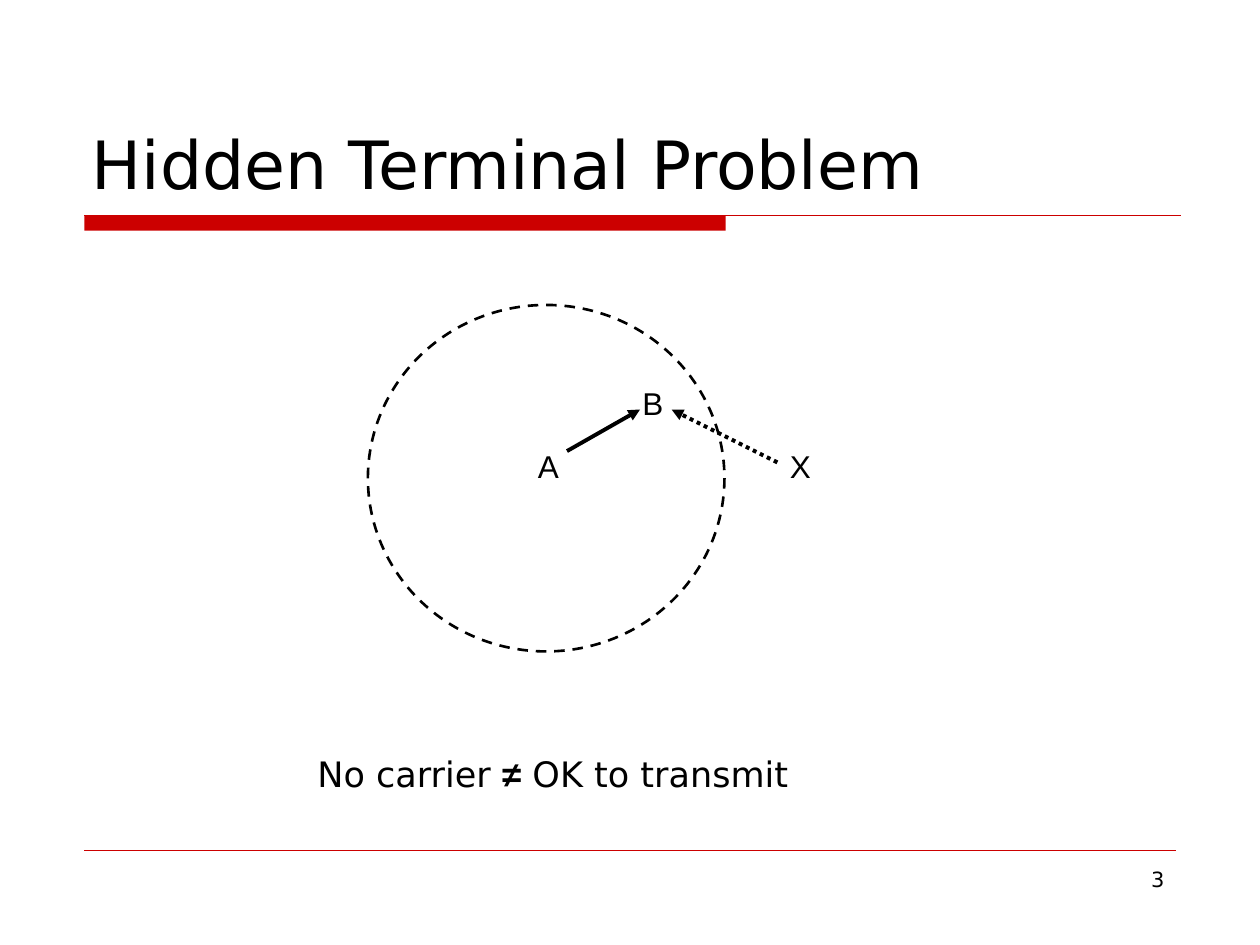
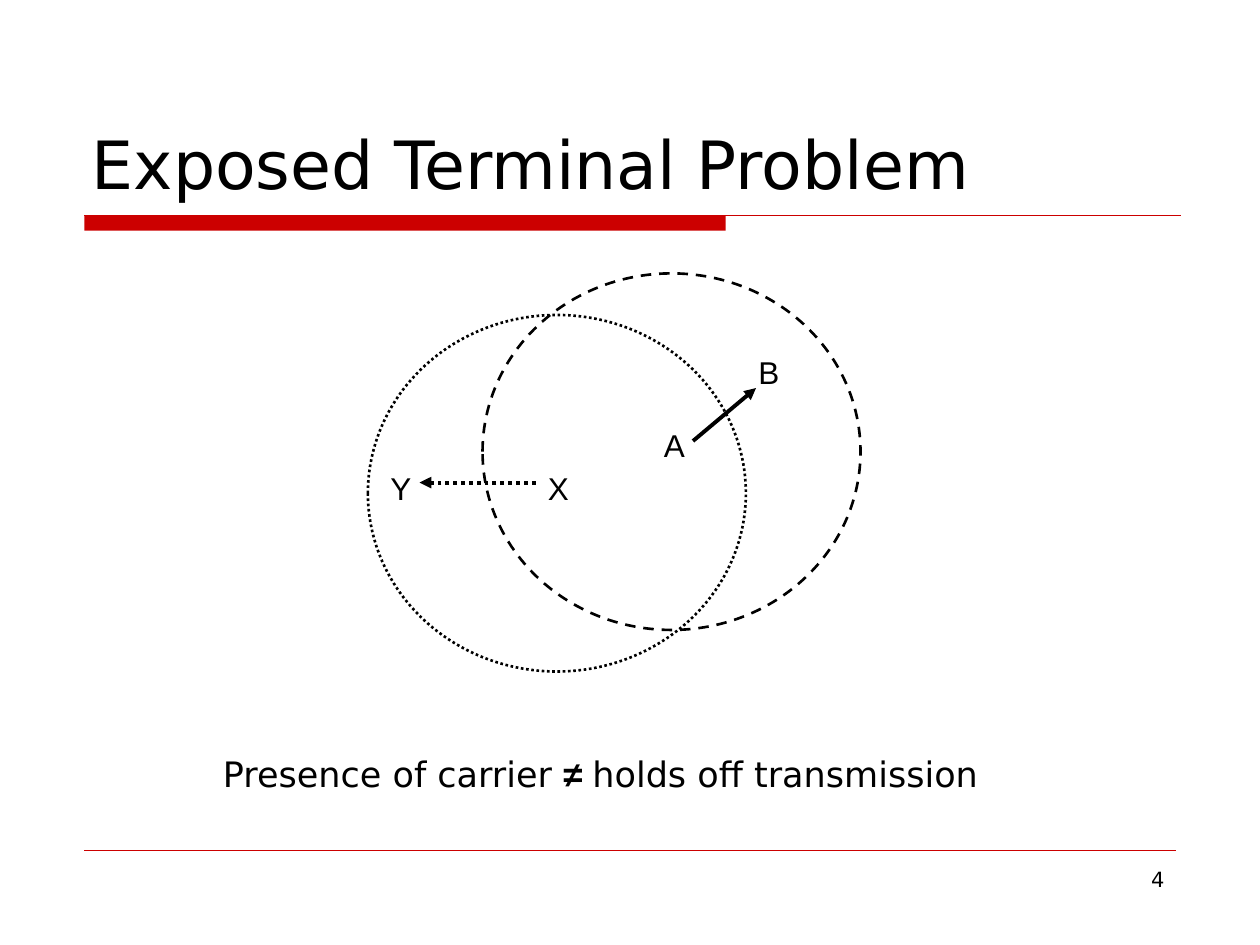
"""Build two slides on the hidden and exposed terminal problems."""
from dataclasses import dataclass

from lxml import etree
from pptx import Presentation
from pptx.dml.color import RGBColor
from pptx.enum.dml import MSO_LINE
from pptx.enum.shapes import MSO_CONNECTOR, MSO_SHAPE
from pptx.enum.text import MSO_ANCHOR, PP_ALIGN
from pptx.oxml.ns import qn
from pptx.util import Inches, Pt

STRAIGHT = MSO_CONNECTOR.STRAIGHT
OVAL, RECTANGLE = MSO_SHAPE.OVAL, MSO_SHAPE.RECTANGLE
SOLID, DASH, DOT = MSO_LINE.SOLID, MSO_LINE.DASH, MSO_LINE.ROUND_DOT
TOP, BOTTOM = MSO_ANCHOR.TOP, MSO_ANCHOR.BOTTOM
LEFT, RIGHT = PP_ALIGN.LEFT, PP_ALIGN.RIGHT


@dataclass(frozen=True)
class Theme:
    ink: RGBColor = RGBColor(0, 0, 0)
    accent: RGBColor = RGBColor(0xCC, 0, 0)
    range_width: float = 1.5
    signal_width: float = 2.24
    bar_width: float = 0.74
    footer_width: float = 0.26


THEME = Theme()
FORMATS = {
    "title": {"name": "DejaVu Sans", "size": Pt(38)},
    "node": {"name": "Arial", "size": Pt(18)},
    "claim": {"name": "DejaVu Sans", "size": Pt(20)},
    "sign": {"name": "Arial", "size": Pt(20), "bold": True},
    "number": {"name": "DejaVu Sans", "size": Pt(12)},
}

SLIDES = [
    {
        "title": "Hidden Terminal Problem",
        "number": "3",
        "ranges": [((2.92, 2.42, 2.83, 2.75), DASH)],
        "nodes": {"A": (4.17, 3.5), "B": (5, 3), "X": (6.17, 3.5)},
        "signals": [
            ((4.5, 3.58), (5.08, 3.25), SOLID),
            ((6.17, 3.67), (5.33, 3.25), DOT),
        ],
        "claim_box": (2.42, 5.92, 4.58, 0.44),
        "claim": [("No carrier ", "claim"), ("≠", "sign"), (" OK to transmit", "claim")],
    },
    {
        "title": "Exposed Terminal Problem",
        "number": "4",
        "ranges": [((3.83, 2.17, 3, 2.83), DASH), ((2.92, 2.5, 3, 2.83), DOT)],
        "nodes": {"A": (5.17, 3.33), "B": (5.92, 2.75), "X": (4.25, 3.67), "Y": (3, 3.67)},
        "signals": [
            ((5.5, 3.5), (6, 3.08), SOLID),
            ((4.25, 3.83), (3.33, 3.83), DOT),
        ],
        "claim_box": (1.67, 5.92, 6.42, 0.44),
        "claim": [
            ("Presence of carrier ", "claim"),
            ("≠ ", "sign"),
            ("holds off transmission", "claim"),
        ],
    },
]


def add_text(slide, box, parts, align=LEFT, anchor=TOP):
    frame = slide.shapes.add_textbox(*map(Inches, box)).text_frame
    frame.word_wrap = True
    frame.vertical_anchor = anchor
    paragraph = frame.paragraphs[0]
    paragraph.alignment = align
    for words, style in parts:
        run = paragraph.add_run()
        run.text = words
        run.font.color.rgb = THEME.ink
        for attribute, value in FORMATS[style].items():
            setattr(run.font, attribute, value)


def add_line(slide, start, end, color, width, dash=SOLID, arrow=False):
    connector = slide.shapes.add_connector(STRAIGHT, *map(Inches, start + end))
    connector.line.color.rgb = color
    connector.line.width = Pt(width)
    connector.line.dash_style = dash
    properties = connector._element.spPr
    if arrow:
        etree.SubElement(properties.find(qn("a:ln")), qn("a:tailEnd"), type="triangle")
    etree.SubElement(properties, qn("a:effectLst"))


deck = Presentation()
deck.slide_width, deck.slide_height = Inches(10), Inches(7.5)
blank = deck.slide_layouts[6]

for content in SLIDES:
    slide = deck.slides.add_slide(blank)

    bar = slide.shapes.add_shape(RECTANGLE, *map(Inches, (0.67, 1.71, 5.09, 0.12)))
    bar.shadow.inherit = False
    bar.fill.solid()
    bar.fill.fore_color.rgb = THEME.accent
    bar.line.fill.background()
    add_line(slide, (0.67, 1.71), (9.37, 1.71), THEME.accent, THEME.bar_width)
    add_line(slide, (0.67, 6.75), (9.33, 6.75), THEME.accent, THEME.footer_width)
    add_text(slide, (7.17, 6.83, 2.17, 0.52), [(content["number"], "number")], align=RIGHT)
    add_text(slide, (0.63, 0.33, 8.75, 1.33), [(content["title"], "title")], anchor=BOTTOM)

    for box, dash in content["ranges"]:
        radio_range = slide.shapes.add_shape(OVAL, *map(Inches, box))
        radio_range.shadow.inherit = False
        radio_range.fill.background()
        radio_range.line.color.rgb = THEME.ink
        radio_range.line.width = Pt(THEME.range_width)
        radio_range.line.dash_style = dash

    for node, corner in content["nodes"].items():
        add_text(slide, corner + (0.42, 0.4), [(node, "node")])

    for sender, receiver, dash in content["signals"]:
        add_line(slide, sender, receiver, THEME.ink, THEME.signal_width, dash, arrow=True)

    add_text(slide, content["claim_box"], content["claim"])

deck.save("out.pptx")
